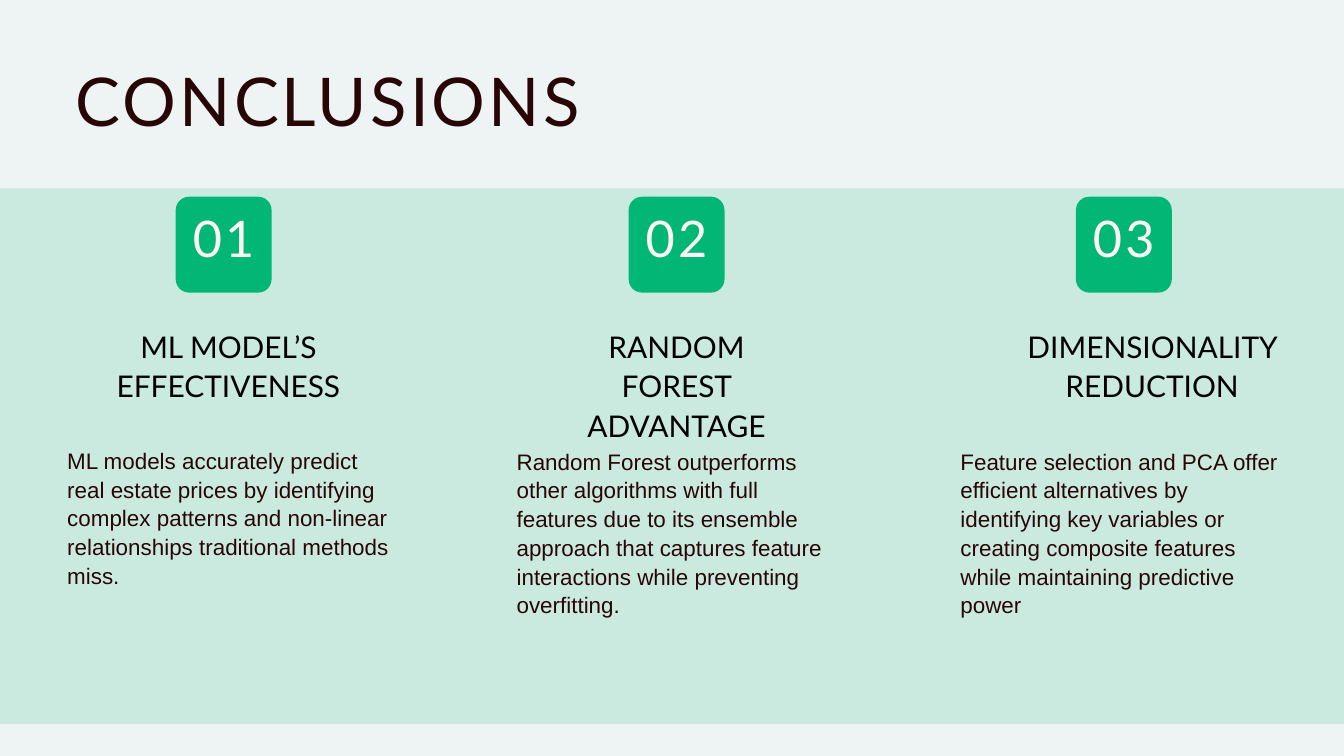
"""Build the Conclusions slide: a title over three numbered findings."""
from dataclasses import dataclass

from lxml import etree
from pptx import Presentation
from pptx import util as u
from pptx.dml.color import RGBColor
from pptx.enum import shapes, text
from pptx.oxml.ns import qn

TITLE = "CONCLUSIONS"
FINDINGS = [
    {
        "badge_x": 251, "heading_box": (155, 343), "body_box": (96, 636, 249),
        "heading": "ML MODEL’S EFFECTIVENESS",
        "body": "ML models accurately predict real estate prices by identifying "
                "complex patterns and non-linear relationships traditional methods miss.",
    },
    {
        "badge_x": 898, "heading_box": (795, 343), "body_box": (738, 637, 290),
        "heading": "RANDOM FOREST ADVANTAGE",
        "body": "Random Forest outperforms other algorithms with full features due to "
                "its ensemble approach that captures feature interactions while "
                "preventing overfitting.",
    },
    {
        "badge_x": 1537, "heading_box": (1451, 390), "body_box": (1372, 637, 249),
        "heading": "DIMENSIONALITY REDUCTION",
        "body": "Feature selection and PCA offer efficient alternatives by identifying "
                "key variables or creating composite features while maintaining "
                "predictive power",
    },
]


@dataclass(frozen=True)
class Style:
    font: str
    size: int
    color: str
    leading: float
    tracking: int = 0
    align: text.PP_ALIGN = text.PP_ALIGN.LEFT


class Theme:
    background = "EEF4F3"
    green = "02B676"
    band_alpha = 15
    title = Style("Lato", 72, "290606", 70, 340)
    badge = Style("Lato", 54, "FDF8F8", 51.5, 350, text.PP_ALIGN.CENTER)
    heading = Style("Lato", 32, "000000", 42, 0, text.PP_ALIGN.CENTER)
    body = Style("Arial", 24, "290606", 30.8)


SLIDE_W, SLIDE_H = 1920, 1080
BADGE_Y, BADGE_SIZE = 281, 137
HEADING_Y, HEADING_H = 465, 107
BODY_W = 468


def px(n):
    return u.Emu(n * 9525)


def write(tf, content, style, insets=(0, 0, 0, 0)):
    tf.word_wrap = True
    tf.margin_left, tf.margin_top, tf.margin_right, tf.margin_bottom = map(px, insets)
    p = tf.paragraphs[0]
    p.text = content
    p.alignment = style.align
    p.line_spacing = u.Pt(style.leading)
    r = p.runs[0]
    r.font.name = style.font
    r.font.size = u.Pt(style.size)
    r.font.color.rgb = RGBColor.from_string(style.color)
    if style.tracking:
        r._r.get_or_add_rPr().set("spc", str(style.tracking))


def add_text(s, box, content, style):
    tf = s.shapes.add_textbox(*map(px, box)).text_frame
    write(tf, content, style)
    tf.auto_size = text.MSO_AUTO_SIZE.SHAPE_TO_FIT_TEXT


def add_panel(s, box, radius, alpha=100):
    sp = s.shapes.add_shape(shapes.MSO_SHAPE.ROUNDED_RECTANGLE, *map(px, box))
    sp.adjustments[0] = radius
    sp.shadow.inherit = False
    sp.line.fill.background()
    sp.fill.solid()
    sp.fill.fore_color.rgb = RGBColor.from_string(Theme.green)
    if alpha < 100:
        color = sp._element.spPr.find(qn("a:solidFill"))[0]
        etree.SubElement(color, qn("a:alpha"), val=str(alpha * 1000))
    return sp


def add_finding(s, number, finding):
    badge = add_panel(s, (finding["badge_x"], BADGE_Y, BADGE_SIZE, BADGE_SIZE), 0.14)
    badge.text_frame.vertical_anchor = text.MSO_ANCHOR.MIDDLE
    write(badge.text_frame, f"{number:02}", Theme.badge, (6, 4, 6, 8))
    x, w = finding["heading_box"]
    add_text(s, (x, HEADING_Y, w, HEADING_H), finding["heading"], Theme.heading)
    x, y, h = finding["body_box"]
    add_text(s, (x, y, BODY_W, h), finding["body"], Theme.body)


def main():
    prs = Presentation()
    prs.slide_width, prs.slide_height = px(SLIDE_W), px(SLIDE_H)
    s = prs.slides.add_slide(prs.slide_layouts[6])
    s.background.fill.solid()
    s.background.fill.fore_color.rgb = RGBColor.from_string(Theme.background)
    add_panel(s, (-36, 269, SLIDE_W + 72, 765), 0.01, Theme.band_alpha)
    add_text(s, (108, 107, 852, 94), TITLE, Theme.title)
    for number, finding in enumerate(FINDINGS, 1):
        add_finding(s, number, finding)
    prs.save("out.pptx")


if __name__ == "__main__":
    main()
